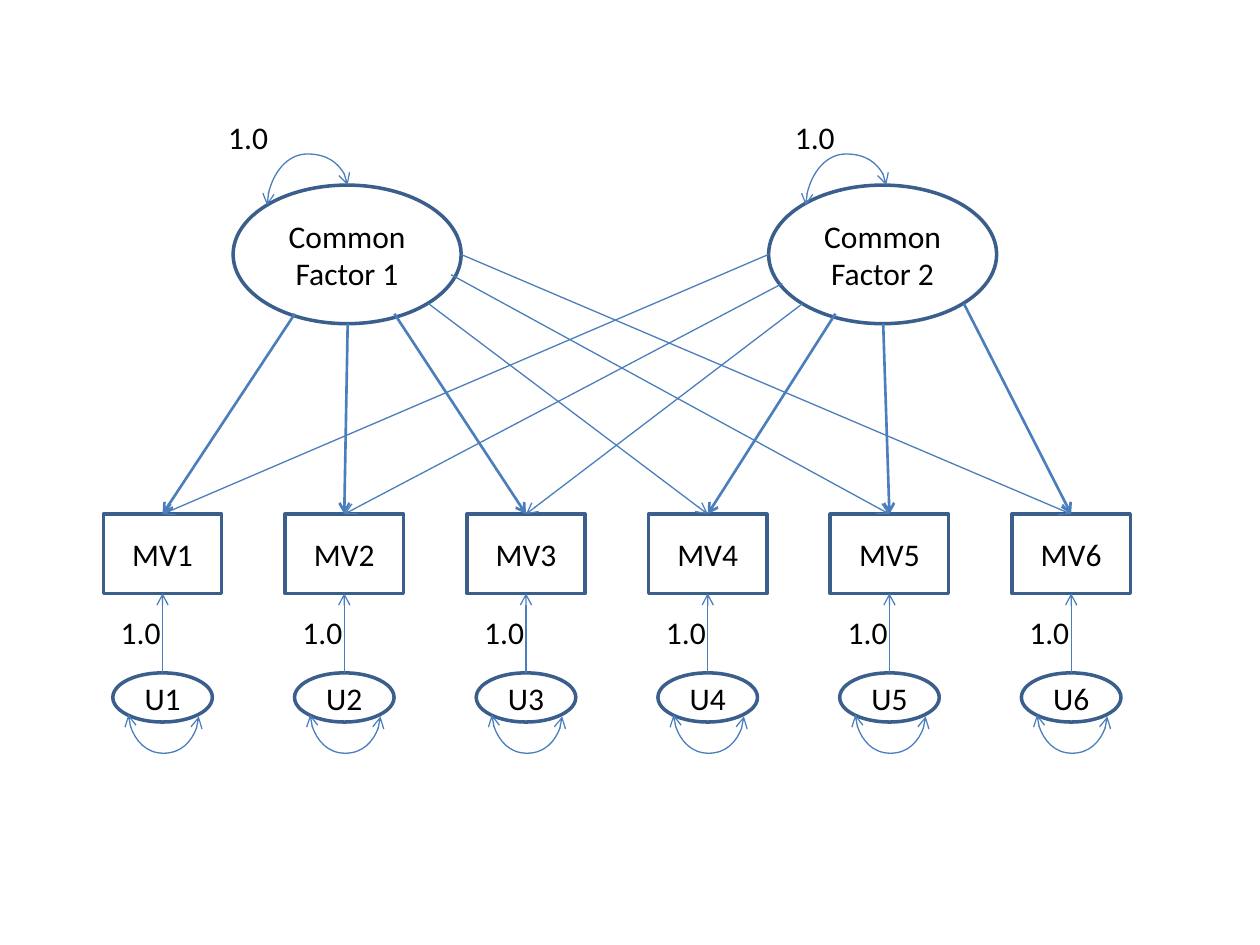
from lxml import etree
from pptx import Presentation
from pptx.dml.color import RGBColor
from pptx.enum.shapes import MSO_CONNECTOR, MSO_SHAPE
from pptx.enum.text import MSO_ANCHOR, MSO_AUTO_SIZE, PP_ALIGN
from pptx.oxml.ns import qn
from pptx.util import Pt

OVAL, RECT = MSO_SHAPE.OVAL, MSO_SHAPE.RECTANGLE
STRAIGHT, CURVE = MSO_CONNECTOR.STRAIGHT, MSO_CONNECTOR.CURVE
MIDDLE, CENTER, LEFT = MSO_ANCHOR.MIDDLE, PP_ALIGN.CENTER, PP_ALIGN.LEFT
GROW = MSO_AUTO_SIZE.SHAPE_TO_FIT_TEXT

COLORS = {"outline": "3A5F8C", "path": "4B7EBC", "text": "000000"}
THIN, BOLD = 0.75, 1.5

# Six measured variables, evenly spaced
FIRST_CENTER, PITCH = 92.9, 103.84
MV_TOP, MV_WIDTH, MV_HEIGHT = 293.8, 67.7, 45.3
U_TOP, U_WIDTH, U_HEIGHT = 384.5, 56.9, 28.1
FACTOR_TOP, FACTOR_WIDTH, FACTOR_HEIGHT = 105.8, 130.3, 79.2

# For each factor: place, label place, arc start, path exits, own variables
FACTORS = [
    {"name": "Common Factor 1", "left": 133.2, "label": 123.3, "arc": 152.6,
     "exits": [(168.5, 179.3), (198.7, 185), (225.4, 179.3),
               (244.8, 173.5), (257.8, 157), (263.5, 145.4)],
     "own": range(0, 3)},
    {"name": "Common Factor 2", "left": 439.2, "label": 447.1, "arc": 460.4,
     "exits": [(439.2, 145.4), (447.1, 162), (458.6, 173.5),
               (477.4, 179.3), (504.7, 185), (550.8, 173.5)],
     "own": range(3, 6)},
]


def rgb(name):
    """Return the named colour."""
    return RGBColor.from_string(COLORS[name])


class PathDiagram:
    """Style and current drawing target of a path diagram."""

    font = {"name": "Calibri", "size": Pt(18)}

    def __init__(self, page):
        """Start drawing on the page."""
        self.page = page
        self.shapes = page.shapes

    def add_text(self, frame, text, align):
        """Put one styled paragraph in a text frame."""
        para = frame.paragraphs[0]
        para.alignment = align
        span = para.add_run()
        span.text = text
        for name, value in self.font.items():
            setattr(span.font, name, value)
        span.font.color.rgb = rgb("text")

    def node(self, kind, left, top, width, height, text):
        """Draw an outlined variable with centred text."""
        box = self.shapes.add_shape(kind, Pt(left), Pt(top), Pt(width), Pt(height))
        box.shadow.inherit = False
        box.fill.background()
        box.line.color.rgb = rgb("outline")
        box.line.width = Pt(2)
        box.text_frame.vertical_anchor = MIDDLE
        self.add_text(box.text_frame, text, CENTER)

    def label(self, left, top, text="1.0"):
        """Add a fixed path value."""
        box = self.shapes.add_textbox(Pt(left), Pt(top), Pt(39.6), Pt(29.1))
        box.text_frame.word_wrap = True
        box.text_frame.auto_size = GROW
        self.add_text(box.text_frame, text, LEFT)

    def style_path(self, path, weight, ends):
        """Set colour, weight and open arrowheads of a connector."""
        path.line.color.rgb = rgb("path")
        path.line.width = Pt(weight)
        properties = path._element.spPr
        line = properties.find(qn("a:ln"))
        for end in ends:
            etree.SubElement(line, qn(f"a:{end}"), type="arrow")
        etree.SubElement(properties, qn("a:effectLst"))

    def arrow(self, start, end, weight=THIN):
        """Draw a straight arrow."""
        points = [Pt(value) for value in (*start, *end)]
        path = self.shapes.add_connector(STRAIGHT, *points)
        self.style_path(path, weight, ["tailEnd"])

    def arc(self, start, end, apex):
        """Draw a double-headed arc from left to right, reaching height apex."""
        (x1, y1), (x2, y2) = start, end
        width, height = abs(y2 - y1), x2 - x1
        left, top = (x1 + x2 - width) / 2, (y1 + y2 - height) / 2
        path = self.shapes.add_connector(
            CURVE, Pt(left), Pt(top), Pt(left + width), Pt(top + height))
        below = apex > y1
        frame = path._element.spPr.find(qn("a:xfrm"))
        frame.set("rot", str((270 if below else 90) * 60000))
        frame.set("flipH", "1")
        frame.set("flipV", "0" if below else "1")
        guides = path._element.spPr.find(qn("a:prstGeom")).find(qn("a:avLst"))
        bend = round(abs(apex - y1) / width * 100000)
        etree.SubElement(guides, qn("a:gd"), name="adj1", fmla=f"val {bend}")
        self.style_path(path, THIN, ["headEnd", "tailEnd"])

    def indicator(self, number, center):
        """Draw a measured variable with its unique factor as one group."""
        self.shapes = self.page.shapes.add_group_shape().shapes
        self.node(RECT, center - MV_WIDTH / 2, MV_TOP, MV_WIDTH, MV_HEIGHT,
                  f"MV{number}")
        self.node(OVAL, center - U_WIDTH / 2, U_TOP, U_WIDTH, U_HEIGHT,
                  f"U{number}")
        self.arrow((center, U_TOP), (center, MV_TOP + MV_HEIGHT))
        self.arc((center - 19.5, 408.4), (center + 20.7, 409.4), 430.6)
        self.label(center - 31, 347)
        self.shapes = self.page.shapes


def main():
    """Build the two-factor path diagram."""
    deck = Presentation()
    deck.slide_width, deck.slide_height = Pt(720), Pt(540)
    diagram = PathDiagram(deck.slides.add_slide(deck.slide_layouts[6]))
    centers = [FIRST_CENTER + PITCH * index for index in range(6)]

    for factor in FACTORS:
        diagram.node(OVAL, factor["left"], FACTOR_TOP, FACTOR_WIDTH,
                     FACTOR_HEIGHT, factor["name"])
        diagram.label(factor["label"], 64.1)
    for number, center in enumerate(centers, 1):
        diagram.indicator(number, center)
    for factor in FACTORS:
        for index, (start, center) in enumerate(zip(factor["exits"], centers)):
            weight = BOLD if index in factor["own"] else THIN
            diagram.arrow(start, (center, MV_TOP), weight)
        diagram.arc((factor["arc"], 117.4), (factor["arc"] + 46, FACTOR_TOP), 88)
    deck.save("out.pptx")


main()
